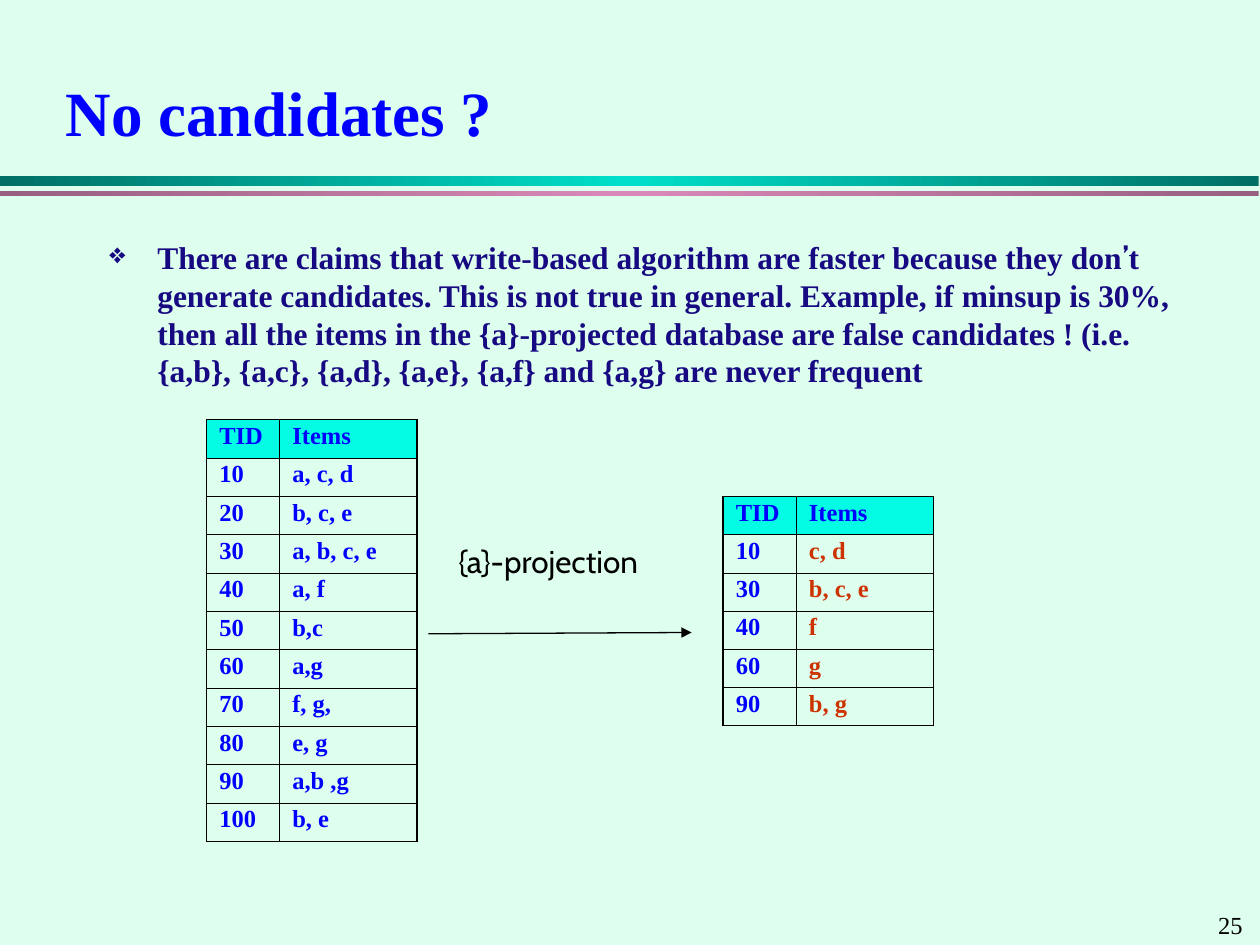
from copy import deepcopy

from lxml import etree
from pptx import Presentation
from pptx.dml.color import RGBColor
from pptx.enum import shapes, text
from pptx.oxml import ns
from pptx.util import Inches, Pt

COLORS = {
    "background": "DEFEEE", "title": "0000FF", "body": "170981", "black": "000000",
    "header": "04FCE4", "cell": "0000FF", "projected": "CC3300",
    "teal": "006F65", "bright teal": "00DFCA", "plum": "976080", "pink": "D989B8",
}
SERIF, SANS = "Times New Roman", "Cabin"
TRANSACTIONS = [
    ("10", "a, c, d"), ("20", "b, c, e"), ("30", "a, b, c, e"), ("40", "a, f"),
    ("50", "b,c"), ("60", "a,g"), ("70", "f, g,"), ("80", "e, g"),
    ("90", "a,b ,g"), ("100", "b, e"),
]
PROJECTED = [("10", "c, d"), ("30", "b, c, e"), ("40", "f"), ("60", "g"), ("90", "b, g")]


def rgb(name):
    return RGBColor.from_string(COLORS[name])


def add_xml(parent, tag, **attributes):
    return etree.SubElement(parent, ns.qn(tag), attributes)


def add_run(paragraph, content, *, size, color, font=SERIF, bold=False):
    run = paragraph.add_run()
    run.text = content
    run.font.size = Pt(size)
    run.font.name = font
    run.font.bold = bold
    run.font.color.rgb = rgb(color)


def add_text_box(slide, left, top, width, height):
    box = slide.shapes.add_textbox(Inches(left), Inches(top), Inches(width), Inches(height))
    box.text_frame.word_wrap = True
    return box.text_frame.paragraphs[0]


def add_title(slide, left, top, width, height):
    title = slide.shapes.title
    title.left, title.top = Inches(left), Inches(top)
    title.width, title.height = Inches(width), Inches(height)
    title.text_frame.vertical_anchor = text.MSO_ANCHOR.MIDDLE
    paragraph = title.text_frame.paragraphs[0]
    paragraph.alignment = text.PP_ALIGN.LEFT
    add_run(paragraph, "No candidates ?", size=36, color="title", bold=True)


def add_band(slide, top, height, edge, middle):
    """Full-width bar whose gradient runs from edge to middle and back."""
    band = slide.shapes.add_shape(
        shapes.MSO_SHAPE.RECTANGLE, 0, Inches(top), Inches(9.99), Inches(height))
    band.shadow.inherit = False
    band.line.fill.background()
    band.fill.gradient()
    band.fill.gradient_angle = 0
    stop_list = band._element.spPr.find(".//" + ns.qn("a:gsLst"))
    stop_list.append(deepcopy(stop_list[0]))
    for stop, position, color in zip(
            band.fill.gradient_stops, (0, 0.5, 1), (edge, middle, edge)):
        stop.position = position
        stop.color.rgb = rgb(color)


def add_claim(slide, left, top, width, height):
    paragraph = add_text_box(slide, left, top, width, height)
    properties = paragraph._p.get_or_add_pPr()
    properties.set("marL", str(Inches(0.38)))
    properties.set("indent", str(-Inches(0.38)))
    add_xml(add_xml(properties, "a:buClr"), "a:srgbClr", val=COLORS["body"])
    add_xml(properties, "a:buSzPct", val="90000")
    add_xml(properties, "a:buChar", char="❖")
    parts = [
        ("There are claims that write-based algorithm are faster because they don", SERIF),
        ("’", SANS),
        ("t generate candidates. This is not true in general. Example, if minsup is 30%, "
         "then all the items in the {a}-projected database are false candidates ! (i.e. "
         "{a,b}, {a,c}, {a,d}, {a,e}, {a,f} and {a,g} are never frequent", SERIF),
    ]
    for content, font in parts:
        add_run(paragraph, content, size=18, color="body", font=font, bold=True)


def set_borders(cell, outer_sides):
    properties = cell._tc.get_or_add_tcPr()
    for index, side in enumerate(("L", "R", "T", "B")):
        width = Pt(1.08 if side in outer_sides else 0.45)
        line = etree.Element(ns.qn(f"a:ln{side}"), w=str(width))
        add_xml(add_xml(line, "a:solidFill"), "a:srgbClr", val=COLORS["black"])
        properties.insert(index, line)


def add_transactions(slide, left, top, width, height, records, items_color):
    rows = [("TID", "Items"), *records]
    table = slide.shapes.add_table(
        len(rows), 2, Inches(left), Inches(top), Inches(width), Inches(height)).table
    table.first_row = table.horz_banding = False
    table.columns[0].width = Inches(0.58)
    table.columns[1].width = Inches(width - 0.58)
    for r, values in enumerate(rows):
        for c, value in enumerate(values):
            cell = table.cell(r, c)
            cell.vertical_anchor = text.MSO_ANCHOR.MIDDLE
            if r == 0:
                cell.fill.solid()
                cell.fill.fore_color.rgb = rgb("header")
            else:
                cell.fill.background()
            paragraph = cell.text_frame.paragraphs[0]
            paragraph.line_spacing = 0.7
            color = items_color if r and c else "cell"
            add_run(paragraph, value, size=14, color=color, bold=True)
            outer_sides = "LR"[c] + ("T" if r == 0 else "")
            set_borders(cell, outer_sides + ("B" if r == len(rows) - 1 else ""))


def add_projection_arrow(slide, left, top, width, height):
    """Label at the top of the box, with the arrow along its foot."""
    add_run(add_text_box(slide, left + 0.14, top, 1.98, 0.4),
            "{a}-projection", size=18, color="black", font=SANS)
    arrow = slide.shapes.add_connector(
        shapes.MSO_CONNECTOR.STRAIGHT, Inches(left), Inches(top + height),
        Inches(left + width), Inches(top + height - 0.01))
    arrow.line.color.rgb = rgb("black")
    arrow.line.width = Pt(0.75)
    add_xml(arrow.line._get_or_add_ln(), "a:tailEnd", type="triangle")
    add_xml(arrow._element.spPr, "a:effectLst")


def main():
    presentation = Presentation()
    presentation.slide_width, presentation.slide_height = Inches(10), Inches(7.5)
    slide = presentation.slides.add_slide(presentation.slide_layouts[5])
    slide.background.fill.solid()
    slide.background.fill.fore_color.rgb = rgb("background")

    add_band(slide, 1.4, 0.08, "teal", "bright teal")
    add_band(slide, 1.52, 0.04, "plum", "pink")
    add_run(add_text_box(slide, 9.57, 7.17, 0.43, 0.34), "25", size=14, color="black")
    add_title(slide, 0.42, 0.42, 9.17, 0.92)
    add_claim(slide, 0.77, 1.84, 8.88, 1.3)
    add_transactions(slide, 1.64, 3.33, 1.67, 3.35, TRANSACTIONS, "cell")
    add_projection_arrow(slide, 3.4, 4.25, 2.09, 0.78)
    add_transactions(slide, 5.74, 3.94, 1.67, 1.82, PROJECTED, "projected")
    presentation.save("out.pptx")


if __name__ == "__main__":
    main()
